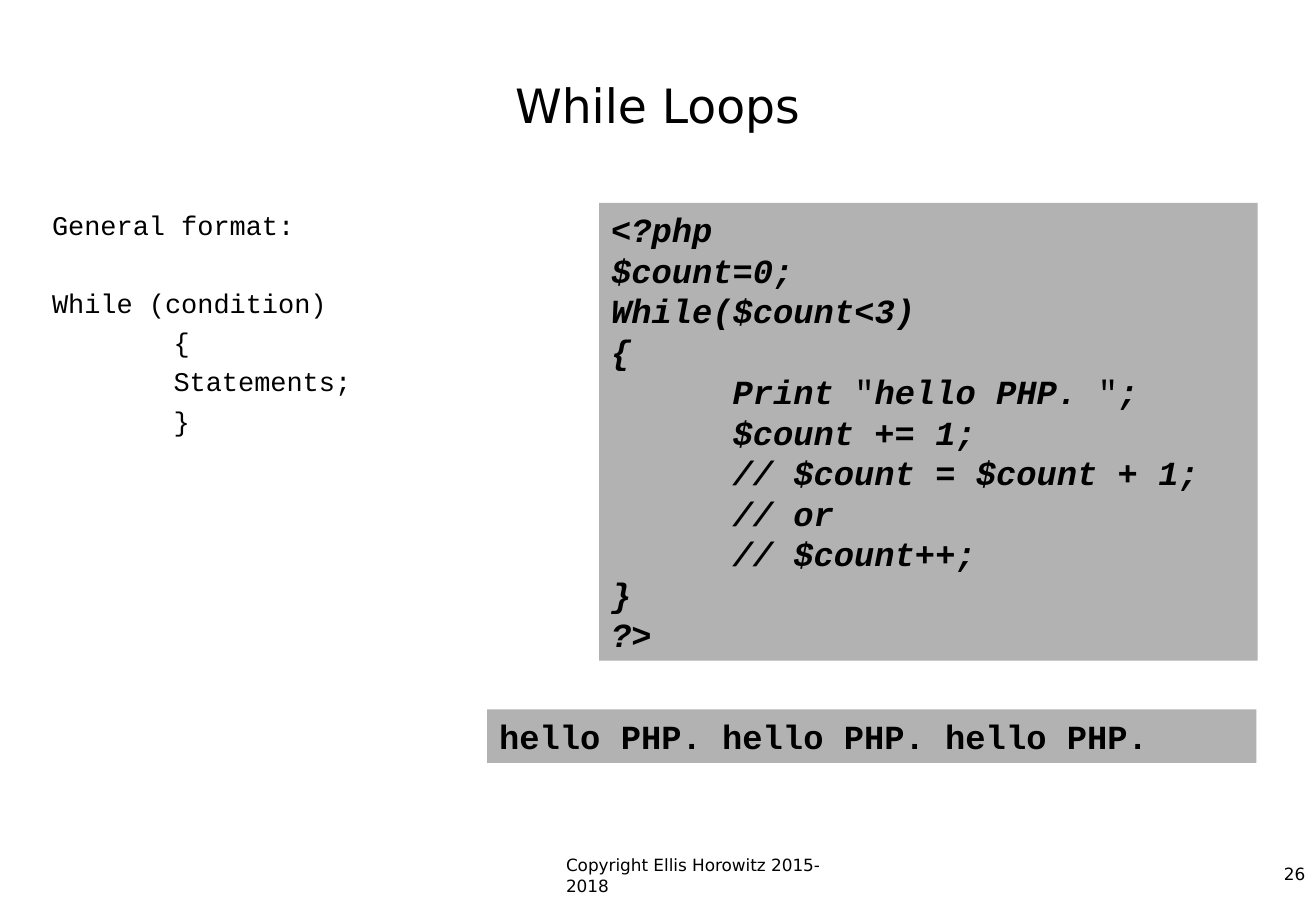
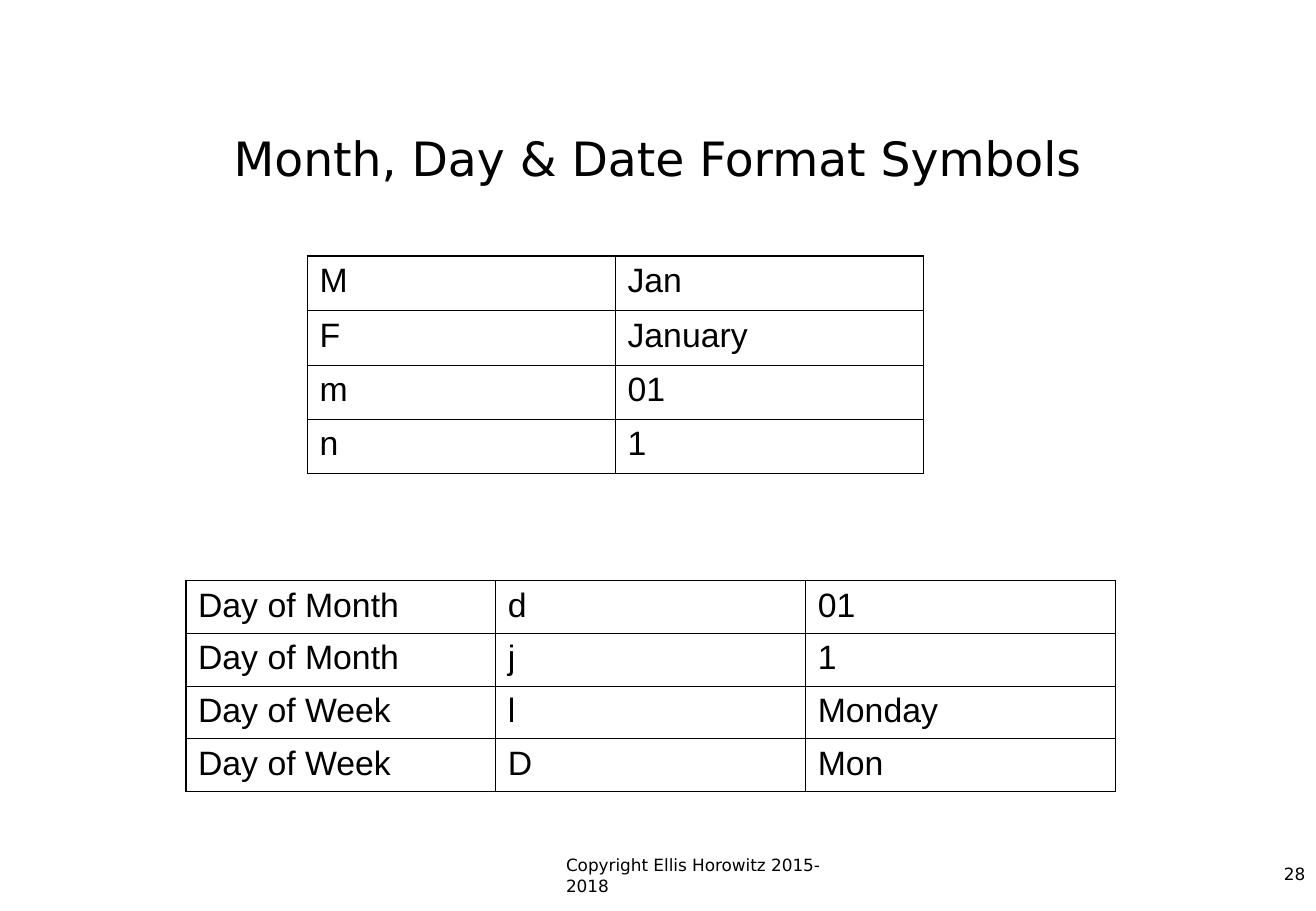
from dataclasses import dataclass

import pptx
import pptx.dml.color
import pptx.enum.shapes
import pptx.enum.text
import pptx.oxml
import pptx.oxml.ns
import pptx.presentation
import pptx.shapes.base
import pptx.slide
import pptx.text.text
import pptx.util
from pptx.util import Inches


# Theme
@dataclass(frozen=True)
class Theme:
    ink: pptx.dml.color.RGBColor = pptx.dml.color.RGBColor(0, 0, 0)
    panel: pptx.dml.color.RGBColor = pptx.dml.color.RGBColor(0xB2, 0xB2, 0xB2)
    heading_font: str = "DejaVu Sans"
    code_font: str = "Courier New"
    table_font: str = "Arial"
    title_size: int = 28
    code_size: int = 20
    syntax_size: int = 16
    table_size: int = 20
    footer_size: int = 10
    outer_border: float = 1.08
    inner_border: float = 0.45


THEME = Theme()
COPYRIGHT = "Copyright Ellis Horowitz 2015-2018"


@dataclass(frozen=True)
class Box:
    left: float
    top: float
    width: float
    height: float

    def lengths(self) -> tuple[int, int, int, int]:
        return (Inches(self.left), Inches(self.top),
                Inches(self.width), Inches(self.height))


@dataclass(frozen=True)
class CodePanel:
    box: Box
    lines: tuple[str, ...]
    italic: bool


@dataclass(frozen=True)
class SymbolTable:
    box: Box
    rows: tuple[tuple[str, ...], ...]


# Slide content
SYNTAX_BOX = Box(0.33, 1.67, 4.5, 4.5)
SYNTAX = ("General format:", "While (condition)", "\t{", "\tStatements;", "\t}")
PANELS = (
    CodePanel(Box(4.93, 1.67, 5.42, 3.77), (
        "<?php",
        "$count=0;",
        "While($count<3)",
        "{",
        '\tPrint "hello PHP. ";',
        "\t$count += 1;",
        "\t// $count = $count + 1;",
        "\t// or",
        "\t// $count++;",
        "}",
        "?>",
    ), italic=True),
    CodePanel(Box(4.01, 5.84, 6.33, 0.44),
              ("hello PHP. hello PHP. hello PHP.",), italic=False),
)
TABLES = (
    SymbolTable(Box(2.53, 2.11, 5.07, 1.79), (
        ("M", "Jan"),
        ("F", "January"),
        ("m", "01"),
        ("n", "1"),
    )),
    SymbolTable(Box(1.53, 4.78, 7.65, 1.73), (
        ("Day of Month", "d", "01"),
        ("Day of Month", "j", "1"),
        ("Day of Week", "l", "Monday"),
        ("Day of Week", "D", "Mon"),
    )),
)


# Text helpers
def set_font(paragraph: pptx.text.text._Paragraph, name: str, size: int) -> None:
    paragraph.font.name = name
    paragraph.font.size = pptx.util.Pt(size)
    paragraph.font.color.rgb = THEME.ink


def add_tab_stop(paragraph: pptx.text.text._Paragraph) -> None:
    properties = paragraph._p.get_or_add_pPr()
    tab_list = pptx.oxml.parse_xml(
        f'<a:tabLst {pptx.oxml.ns.nsdecls("a")}>'
        f'<a:tab pos="{Inches(1)}" algn="l"/></a:tabLst>')
    properties.append(tab_list)


def add_lines(frame: pptx.text.text.TextFrame, lines: tuple[str, ...],
              size: int) -> None:
    frame.word_wrap = True
    frame.vertical_anchor = pptx.enum.text.MSO_ANCHOR.TOP
    for index, line in enumerate(lines):
        paragraph = frame.paragraphs[0] if index == 0 else frame.add_paragraph()
        paragraph.alignment = pptx.enum.text.PP_ALIGN.LEFT
        add_tab_stop(paragraph)
        # Quotation marks stand in runs of their own
        for part_index, part in enumerate(line.split('"')):
            if part_index:
                paragraph.add_run().text = '"'
            paragraph.add_run().text = part
        set_font(paragraph, THEME.code_font, size)


# Slide parts
def add_titled_slide(presentation: pptx.presentation.Presentation, title: str,
                     title_top: float, number: int) -> pptx.slide.Slide:
    slide = presentation.slides.add_slide(presentation.slide_layouts[5])
    shape = slide.shapes.title
    shape.left, shape.top, shape.width, shape.height = Box(
        0.81, title_top, 9.2, 1.25).lengths()
    frame = shape.text_frame
    frame.text = title
    frame.vertical_anchor = pptx.enum.text.MSO_ANCHOR.MIDDLE
    paragraph = frame.paragraphs[0]
    paragraph.alignment = pptx.enum.text.PP_ALIGN.CENTER
    set_font(paragraph, THEME.heading_font, THEME.title_size)
    add_footer(slide, COPYRIGHT, Box(4.56, 6.99, 2.46, 0.43),
               pptx.enum.text.PP_ALIGN.LEFT)
    add_footer(slide, str(number), Box(9.96, 7.06, 0.88, 0.29),
               pptx.enum.text.PP_ALIGN.RIGHT)
    return slide


def add_footer(slide: pptx.slide.Slide, text: str, box: Box,
               alignment: pptx.enum.text.PP_ALIGN) -> None:
    frame = slide.shapes.add_textbox(*box.lengths()).text_frame
    frame.word_wrap = True
    frame.text = text
    frame.paragraphs[0].alignment = alignment
    set_font(frame.paragraphs[0], THEME.heading_font, THEME.footer_size)


def add_syntax(slide: pptx.slide.Slide) -> None:
    frame = slide.shapes.add_textbox(*SYNTAX_BOX.lengths()).text_frame
    add_lines(frame, SYNTAX, THEME.syntax_size)
    for paragraph in frame.paragraphs[1:]:
        paragraph.space_before = pptx.util.Pt(4)
    # One line of air between the heading and the statement
    frame.paragraphs[1].space_before = pptx.util.Pt(27)


def add_code_panel(slide: pptx.slide.Slide, panel: CodePanel) -> None:
    shape = slide.shapes.add_shape(
        pptx.enum.shapes.MSO_SHAPE.RECTANGLE, *panel.box.lengths())
    shape.shadow.inherit = False
    shape.fill.solid()
    shape.fill.fore_color.rgb = THEME.panel
    shape.line.fill.background()
    add_lines(shape.text_frame, panel.lines, THEME.code_size)
    for paragraph in shape.text_frame.paragraphs:
        for run in paragraph.runs:
            plain = run.text == '"'
            run.font.bold = not plain
            run.font.italic = panel.italic and not plain


def set_borders(cell: pptx.table._Cell, outer_edges: dict[str, bool]) -> None:
    properties = cell._tc.get_or_add_tcPr()
    for position, (edge, is_outer) in enumerate(outer_edges.items()):
        points = THEME.outer_border if is_outer else THEME.inner_border
        border = pptx.oxml.parse_xml(
            f'<a:ln{edge} {pptx.oxml.ns.nsdecls("a")} w="{pptx.util.Pt(points)}">'
            f'<a:solidFill><a:srgbClr val="{THEME.ink}"/></a:solidFill></a:ln{edge}>')
        properties.insert(position, border)


def add_symbol_table(slide: pptx.slide.Slide, content: SymbolTable) -> None:
    row_count, column_count = len(content.rows), len(content.rows[0])
    table = slide.shapes.add_table(
        row_count, column_count, *content.box.lengths()).table
    table.first_row = table.horz_banding = False
    for row_index, row in enumerate(content.rows):
        for column_index, text in enumerate(row):
            cell = table.cell(row_index, column_index)
            cell.text = text
            cell.fill.background()
            set_font(cell.text_frame.paragraphs[0],
                     THEME.table_font, THEME.table_size)
            set_borders(cell, {
                "L": column_index == 0,
                "R": column_index == column_count - 1,
                "T": row_index == 0,
                "B": row_index == row_count - 1,
            })


def main() -> None:
    presentation = pptx.Presentation()
    presentation.slide_width = Inches(10.83)
    presentation.slide_height = Inches(7.5)

    # While loops
    slide = add_titled_slide(presentation, "While Loops", 0.24, 26)
    add_syntax(slide)
    for panel in PANELS:
        add_code_panel(slide, panel)

    # Date format symbols
    slide = add_titled_slide(
        presentation, "Month, Day & Date Format Symbols", 0.67, 28)
    for content in TABLES:
        add_symbol_table(slide, content)

    presentation.save("out.pptx")


if __name__ == "__main__":
    main()
